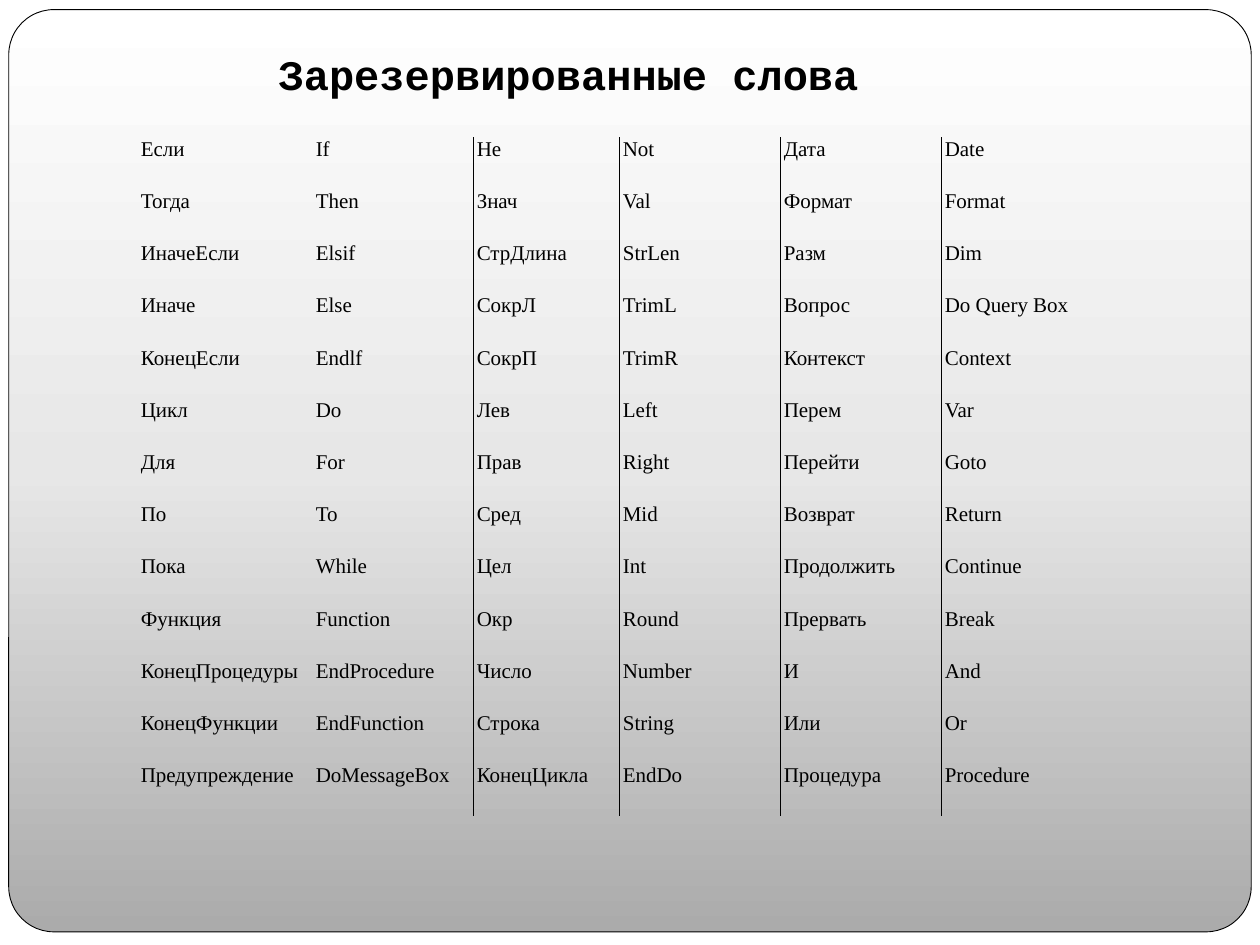
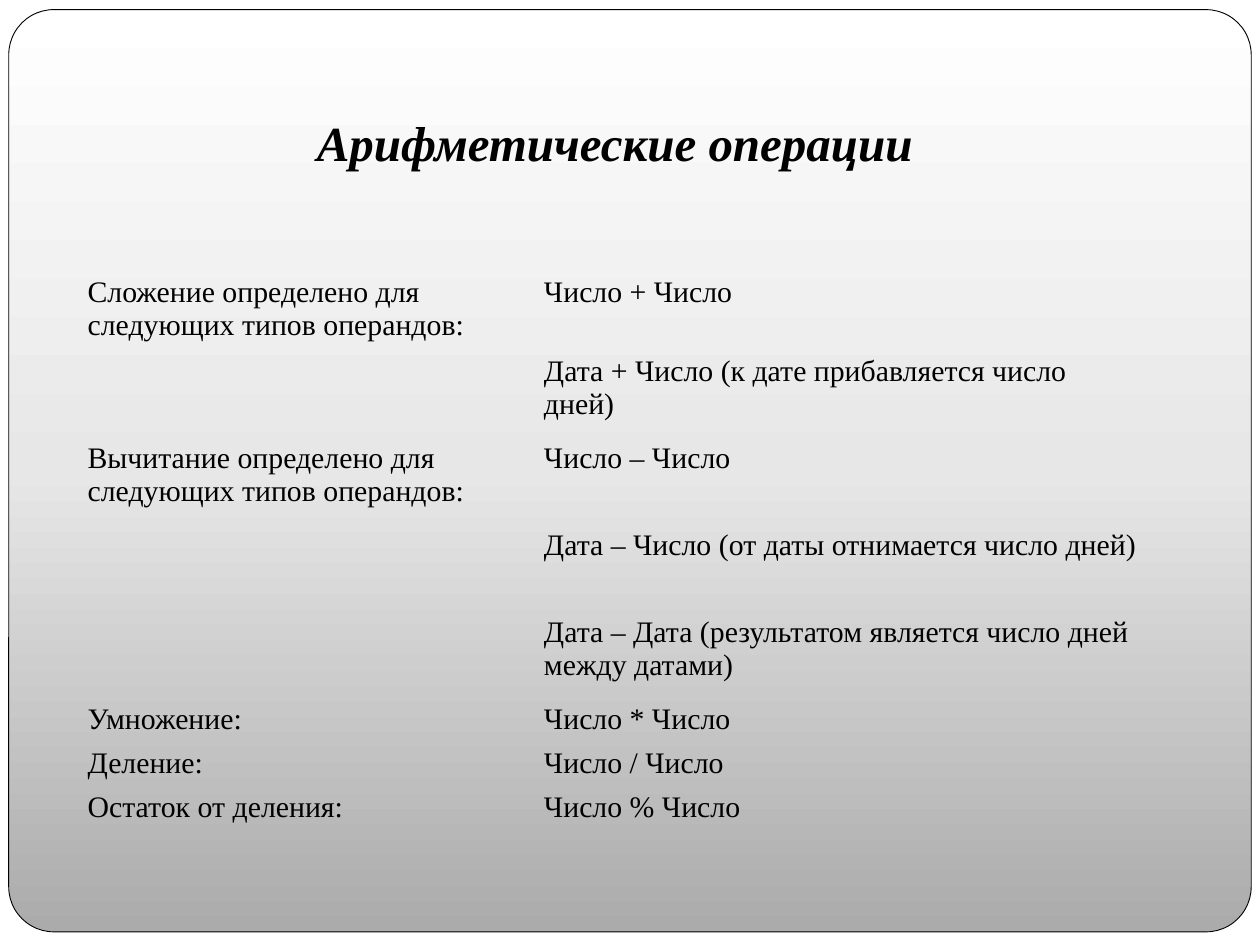
from lxml import etree
from pptx import Presentation
from pptx.dml.color import RGBColor
from pptx.enum.shapes import MSO_SHAPE
from pptx.enum.text import MSO_ANCHOR, MSO_AUTO_SIZE, PP_ALIGN
from pptx.oxml.ns import qn
from pptx.util import Pt

ROUNDED = MSO_SHAPE.ROUNDED_RECTANGLE
MIDDLE, TOP = MSO_ANCHOR.MIDDLE, MSO_ANCHOR.TOP
LEFT, CENTER = PP_ALIGN.LEFT, PP_ALIGN.CENTER
FIXED = MSO_AUTO_SIZE.NONE
TITLE_ONLY = 5
PLAIN_TABLE = "{2D5ABB26-0587-4C30-8999-92F81FD0307C}"

BLACK, WHITE = "000000", "FFFFFF"
FRAME_STOPS = [(0, "ABABAB"), (50, "E7E7E7"), (100, WHITE)]
SERIF, MONO = "Times New Roman", "Courier New"

RESERVED_WORDS = [
    ("Если", "If", "He", "Not", "Дата", "Date"),
    ("Тогда", "Then", "Знач", "Val", "Формат", "Format"),
    ("ИначеЕсли", "Elsif", "СтрДлина", "StrLen", "Разм", "Dim"),
    ("Иначе", "Else", "СокрЛ", "TrimL", "Вопрос", "Do Query Box"),
    ("КонецЕсли", "Endlf", "СокрП", "TrimR", "Контекст", "Context"),
    ("Цикл", "Do", "Лев", "Left", "Перем", "Var"),
    ("Для", "For", "Прав", "Right", "Перейти", "Goto"),
    ("По", "To", "Сред", "Mid", "Возврат", "Return"),
    ("Пока", "While", "Цел", "Int", "Продолжить", "Continue"),
    ("Функция", "Function", "Окр", "Round", "Прервать", "Break"),
    ("КонецПроцедуры", "EndProcedure", "Число", "Number", "И", "And"),
    ("КонецФункции", "EndFunction", "Строка", "String", "Или", "Or"),
    ("Предупреждение", "DoMessageBox", "КонецЦикла", "EndDo", "Процедура", "Procedure"),
]
OPERATIONS = [
    ("Сложение определено для следующих типов операндов:", "Число + Число"),
    ("", "Дата + Число (к дате прибавляется число дней)"),
    ("Вычитание определено для следующих типов операндов:", "Число – Число"),
    ("", "Дата – Число (от даты отнимается число дней)"),
    ("", "Дата – Дата (результатом является число дней между датами)"),
    ("Умножение:", "Число * Число"),
    ("Деление:", "Число / Число"),
    ("Остаток от деления:", "Число % Число"),
]


def color(value):
    return RGBColor.from_string(value)


def set_values(target, values):
    for name, value in values.items():
        setattr(target, name, value)


def format_font(font, name, size, **extra):
    set_values(font, {"name": name, "size": Pt(size), **extra})
    font.color.rgb = color(BLACK)


def add_frame(page, layout):
    frame = page.shapes.add_shape(ROUNDED, Pt(5), Pt(5.5), Pt(710), Pt(527))
    frame.shadow.inherit = False
    frame.adjustments[0] = 0.049
    frame.line.color.rgb = color(BLACK)
    frame.line.width = Pt(0.5)
    frame.fill.gradient()
    frame.fill.gradient_angle = 90
    stops = frame._element.spPr.find(".//" + qn("a:gsLst"))
    for stop in list(stops):
        stops.remove(stop)
    for percent, value in FRAME_STOPS:
        stop = etree.SubElement(stops, qn("a:gs"), pos=str(percent * 1000))
        etree.SubElement(stop, qn("a:srgbClr"), val=value)
    layout.shapes._spTree.insert(2, frame._element)


def add_title(page, text, area, align, anchor, font, size, **extra):
    title = page.shapes.title
    set_values(title, dict(zip(("left", "top", "width", "height"), map(Pt, area))))
    set_values(title.text_frame, {"text": text, "word_wrap": True,
                                  "auto_size": FIXED, "vertical_anchor": anchor})
    para = title.text_frame.paragraphs[0]
    para.alignment = align
    format_font(para.runs[0].font, font, size, bold=True, **extra)


def add_border(cell, side):
    border = etree.Element(qn("a:" + side), w=str(Pt(1)))
    fill = etree.SubElement(border, qn("a:solidFill"))
    etree.SubElement(fill, qn("a:srgbClr"), val=BLACK)
    cell._tc.get_or_add_tcPr().insert(0, border)


def add_grid(page, rows, left, top, widths, heights, size, inset, ruled=()):
    holder = page.shapes.add_table(len(rows), len(widths), Pt(left), Pt(top),
                                   Pt(sum(widths)), Pt(sum(heights)))
    table = holder.table
    set_values(table, {"first_row": False, "horz_banding": False})
    table._tbl.tblPr.find(qn("a:tableStyleId")).text = PLAIN_TABLE
    for column, width in zip(table.columns, widths):
        column.width = Pt(width)
    for index, (texts, height) in enumerate(zip(rows, heights)):
        table.rows[index].height = Pt(height)
        for position, text in enumerate(texts):
            cell = table.cell(index, position)
            set_values(cell, {"margin_left": Pt(inset), "margin_right": Pt(inset),
                              "margin_top": 0, "margin_bottom": 0,
                              "vertical_anchor": TOP})
            cell.fill.background()
            if text:
                cell.text = text
                format_font(cell.text_frame.paragraphs[0].runs[0].font, SERIF, size)
            if position in ruled:
                add_border(cell, "lnL")
            if position + 1 in ruled:
                add_border(cell, "lnR")


def main():
    deck = Presentation()
    set_values(deck, {"slide_width": Pt(720), "slide_height": Pt(540)})
    background = deck.slide_master.background.fill
    background.solid()
    background.fore_color.rgb = color(WHITE)
    layout = deck.slide_layouts[TITLE_ONLY]

    words_page = deck.slides.add_slide(layout)
    add_frame(words_page, layout)
    add_grid(words_page, RESERVED_WORDS, 78.5, 78.5, [100, 92, 83.5, 92, 92, 92],
             [29.86] * len(RESERVED_WORDS), 12, 2, ruled=(2, 4))
    add_title(words_page, "Зарезервированные слова", (152, 22, 397, 40),
              LEFT, MIDDLE, MONO, 24)

    operations_page = deck.slides.add_slide(layout)
    add_grid(operations_page, OPERATIONS, 44.8, 157.5, [260.8, 351.7],
             [45.2] + [49.8] * 4 + [25] * 3, 17, 5.3)
    add_title(operations_page, "Арифметические операции", (172, 60.5, 358.5, 41),
              CENTER, TOP, SERIF, 28, italic=True)

    deck.save("out.pptx")


if __name__ == "__main__":
    main()
